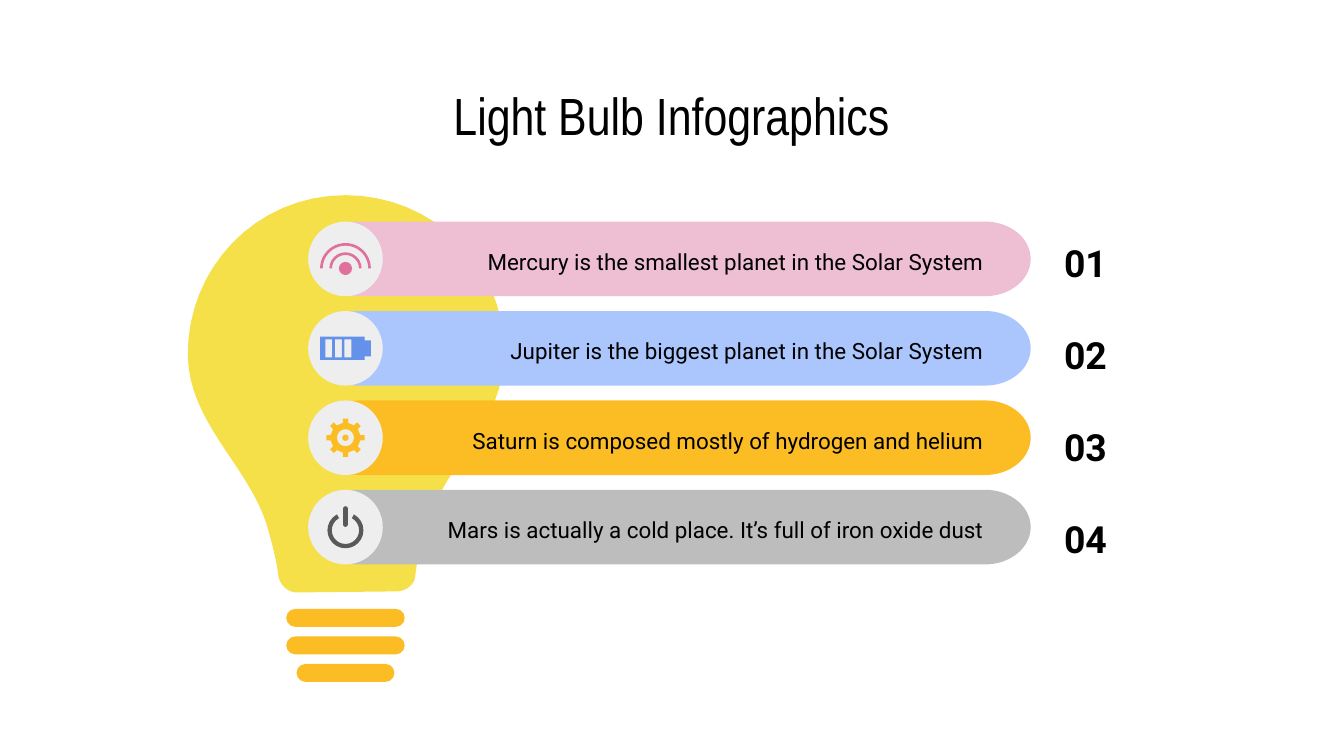
"""Build the light bulb infographic slide."""
from math import cos, pi, sin

from pptx import Presentation
from pptx.dml.color import RGBColor
from pptx.enum.shapes import MSO_SHAPE
from pptx.enum.text import MSO_ANCHOR, PP_ALIGN
from pptx.util import Cm, Pt

OVAL = MSO_SHAPE.OVAL
ROUNDED = MSO_SHAPE.ROUNDED_RECTANGLE
BLOCK_ARC = MSO_SHAPE.BLOCK_ARC
MIDDLE = MSO_ANCHOR.MIDDLE
LEFT, CENTER, RIGHT = PP_ALIGN.LEFT, PP_ALIGN.CENTER, PP_ALIGN.RIGHT

AXIS = 6.53
ROW_TOP, ROW_STEP, ROW_HEIGHT = 4.19, 1.69, 1.41
BAR_LEFT, BAR_RIGHT, CAP_WIDTH = 5.92, 19.48, 0.86
YELLOW, AMBER, PALE = "F6E049", "FCBD24", "EEEEEE"
ROWS = [
    ("Mercury is the smallest planet in the Solar System", "EEBED3"),
    ("Jupiter is the biggest planet in the Solar System", "AAC6FC"),
    ("Saturn is composed mostly of hydrogen and helium", AMBER),
    ("Mars is actually a cold place. It’s full of iron oxide dust", "BDBDBD"),
]
BASE_BARS = [(2.24, 11.51), (2.24, 12.03), (1.85, 12.55)]
BULB_START = (6.53, 3.69)
BULB_CURVES = [
    ((4.83, 3.69), (3.53, 5.08), (3.55, 6.73)),
    ((3.58, 7.98), (4.65, 8.76), (5.03, 9.88)),
    ((5.11, 10.16), (5.21, 10.49), (5.26, 10.87)),
    ((5.28, 11.05), (5.44, 11.2), (5.61, 11.2)),
    ((5.61, 11.2), (7.49, 11.18), (7.49, 11.18)),
    ((7.67, 11.18), (7.85, 11.05), (7.85, 10.87)),
    ((7.9, 10.49), (7.98, 10.13), (8.08, 9.88)),
    ((8.46, 8.69), (9.53, 8.03), (9.53, 6.65)),
    ((9.53, 5), (8.18, 3.69), (6.53, 3.69)),
]


def color(value):
    """Turn a hex string into a colour."""
    return RGBColor.from_string(value)


def trace(start, curves, steps=16):
    """Return points along a chain of cubic curves."""
    points = [start]
    for curve in curves:
        corners = (points[-1], *curve)
        for step in range(1, steps + 1):
            t = step / steps
            weights = ((1 - t) ** 3, 3 * t * (1 - t) ** 2, 3 * t * t * (1 - t), t ** 3)
            points.append(tuple(sum(w * c[axis] for w, c in zip(weights, corners))
                                for axis in (0, 1)))
    return points


def sweep(x, y, width, height, start=0, end=2 * pi, steps=32):
    """Return points along an elliptical arc with the given radii."""
    angles = [start + (end - start) * step / steps for step in range(steps + 1)]
    return [(x + width * cos(angle), y + height * sin(angle)) for angle in angles]


def box_points(left, top, right, bottom):
    """Return the corners of a rectangle."""
    return [(left, top), (right, top), (right, bottom), (left, bottom)]


class Infographic:
    """Hold the style and the current slide."""

    font = "Roboto"
    title_font = "Arial Narrow"
    ink = "000000"

    def __init__(self, deck):
        """Add a title-only page."""
        self.page = deck.slides.add_slide(deck.slide_layouts[5])

    def paint(self, shape, fill):
        """Give a shape a flat fill without line or shadow."""
        shape.shadow.inherit = False
        shape.fill.solid()
        shape.fill.fore_color.rgb = color(fill)
        shape.line.fill.background()
        return shape

    def preset(self, kind, x, y, width, height, fill, adjustments=()):
        """Add a preset shape around its centre."""
        shape = self.page.shapes.add_shape(
            kind, Cm(x - width / 2), Cm(y - height / 2), Cm(width), Cm(height))
        for index, value in enumerate(adjustments):
            shape.adjustments[index] = value
        return self.paint(shape, fill)

    def outline(self, fill, *contours):
        """Add a freeform from closed contours."""
        contours = [[(Cm(x), Cm(y)) for x, y in contour] for contour in contours]
        builder = self.page.shapes.build_freeform(*contours[0][0], scale=1.0)
        for index, contour in enumerate(contours):
            if index:
                builder.move_to(*contour[0])
            builder.add_line_segments(contour[1:], close=True)
        return self.paint(builder.convert_to_shape(), fill)

    def set_text(self, shape, text, size, font, align, bold=False, spacing=None):
        """Fill a text shape with one formatted paragraph."""
        frame = shape.text_frame
        frame.word_wrap = True
        frame.vertical_anchor = MIDDLE
        frame.margin_left = frame.margin_right = Cm(0.25)
        frame.margin_top = frame.margin_bottom = Cm(0.25)
        frame.text = text
        para = frame.paragraphs[0]
        para.alignment = align
        para.line_spacing = spacing
        span = para.runs[0]
        span.font.size, span.font.name, span.font.bold = Pt(size), font, bold
        span.font.color.rgb = color(self.ink)

    def title(self, text):
        """Place the page title."""
        shape = self.page.shapes.title
        shape.left, shape.top, shape.width, shape.height = Cm(7.92), Cm(1.5), Cm(9.53), Cm(1.35)
        self.set_text(shape, text, 28, self.title_font, CENTER)

    def label(self, text, left, top, width, size, align, bold=False):
        """Add a text box."""
        shape = self.page.shapes.add_textbox(Cm(left), Cm(top), Cm(width), Cm(1.07))
        self.set_text(shape, text, size, self.font, align, bold, 1.15)

    def bar(self, y, fill):
        """Add a row bar with rounded ends and its icon disc."""
        half = ROW_HEIGHT / 2
        right_cap = sweep(BAR_RIGHT - CAP_WIDTH, y, CAP_WIDTH, half, -pi / 2, pi / 2)
        left_cap = sweep(BAR_LEFT + CAP_WIDTH, y, CAP_WIDTH, half, pi / 2, 3 * pi / 2)
        self.outline(fill, right_cap + left_cap)
        self.preset(OVAL, AXIS, y, ROW_HEIGHT, ROW_HEIGHT, PALE)

    def signal_icon(self, y):
        """Draw a dot under two waves."""
        pink = "E0719E"
        y += 0.18
        for size in (0.96, 0.61):
            self.preset(BLOCK_ARC, AXIS, y, size, size, pink, (108, 0, 0.05 / size))
        self.preset(OVAL, AXIS, y, 0.25, 0.25, pink)

    def battery_icon(self, y):
        """Draw a battery with three cells."""
        body = [(AXIS + x, y + dy) for x, dy in (
            (-0.48, -0.22), (0.36, -0.22), (0.36, -0.15), (0.48, -0.15),
            (0.48, 0.15), (0.36, 0.15), (0.36, 0.22), (-0.48, 0.22))]
        lefts = [AXIS - 0.38 + 0.18 * index for index in range(3)]
        cells = [box_points(left, y - 0.17, left + 0.13, y + 0.17) for left in lefts]
        self.outline("6491E9", body, *cells)

    def gear_icon(self, y):
        """Draw a gear with eight teeth."""
        teeth = []
        for index in range(8):
            angle = index * pi / 4
            for radius, side in ((0.28, -0.05), (0.36, -0.05), (0.36, 0.05), (0.28, 0.05)):
                teeth.append((AXIS + radius * cos(angle) - side * sin(angle),
                              y + radius * sin(angle) + side * cos(angle)))
        self.outline(AMBER, teeth, sweep(AXIS, y, 0.16, 0.16))
        self.preset(OVAL, AXIS, y, 0.12, 0.12, AMBER)

    def power_icon(self, y):
        """Draw an open ring with a stem."""
        gray = "595959"
        self.preset(BLOCK_ARC, AXIS, y + 0.06, 0.68, 0.68, gray, (178.8, 145.2, 0.12))
        self.preset(ROUNDED, AXIS, y - 0.2, 0.09, 0.39, gray, (0.5,))


def main():
    """Compose and save the deck."""
    deck = Presentation()
    deck.slide_width, deck.slide_height = Cm(25.4), Cm(14.29)
    page = Infographic(deck)
    page.title("Light Bulb Infographics")
    for width, top in BASE_BARS:
        page.preset(ROUNDED, AXIS, top + 0.17, width, 0.34, AMBER, (0.5,))
    page.outline(YELLOW, trace(BULB_START, BULB_CURVES))
    icons = (page.signal_icon, page.battery_icon, page.gear_icon, page.power_icon)
    for index, ((text, fill), icon) in enumerate(zip(ROWS, icons)):
        y = ROW_TOP + ROW_HEIGHT / 2 + index * ROW_STEP
        page.bar(y, fill)
        icon(y)
        page.label(text, 7.87, 4.37 + index * ROW_STEP, 10.97, 12, RIGHT)
        page.label(f"{index + 1:02}", 19.86, 4.37 + index * 1.74, 1.6, 20, LEFT, True)
    deck.save("out.pptx")


if __name__ == "__main__":
    main()
